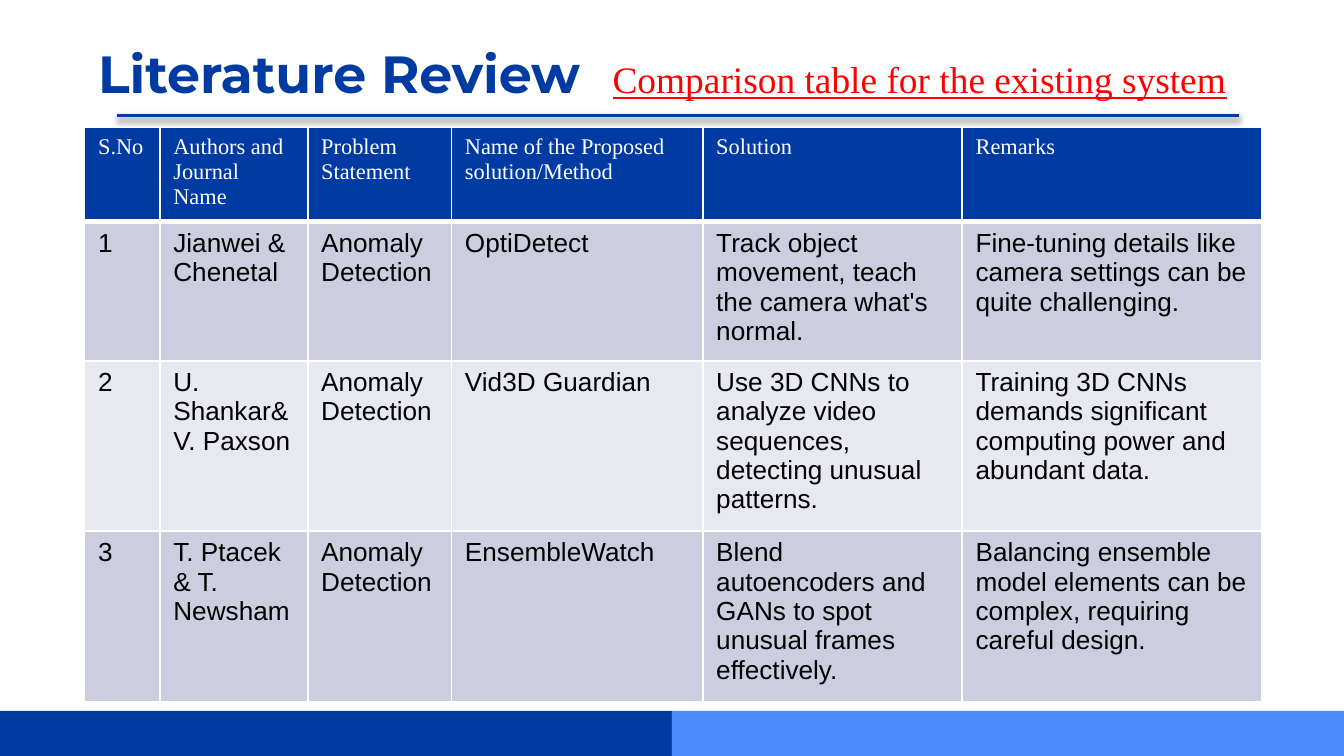
from lxml import etree
from pptx import Presentation
from pptx.dml.color import RGBColor
from pptx.enum import shapes, text
from pptx.oxml import parse_xml
from pptx.oxml.ns import nsdecls, qn
from pptx.util import Inches, Pt

NAVY = RGBColor(0x00, 0x3B, 0xA3)
BLUE = RGBColor(0x4A, 0x8C, 0xFF)
RED = RGBColor(0xFF, 0x00, 0x00)
WHITE = RGBColor(0xFF, 0xFF, 0xFF)
BLACK = RGBColor(0x00, 0x00, 0x00)
BAND_DARK = RGBColor(0xCC, 0xCE, 0xE0)
BAND_LIGHT = RGBColor(0xE7, 0xE8, 0xF0)


def write_text(frame, content, size, font, color, bold=False, underline=False):
    frame.word_wrap = True
    paragraph = frame.paragraphs[0]
    paragraph.alignment = text.PP_ALIGN.LEFT
    run = paragraph.add_run()
    run.text = content
    run.font.size = Pt(size)
    run.font.name = font
    run.font.color.rgb = color
    run.font.bold = bold
    run.font.underline = underline


def set_header_borders(cell):
    properties = cell._tc.get_or_add_tcPr()
    widths = {"a:lnL": 1, "a:lnR": 1, "a:lnT": 1, "a:lnB": 3}
    for index, (tag, width) in enumerate(widths.items()):
        line = etree.Element(qn(tag), w=str(Pt(width)))
        fill = etree.SubElement(line, qn("a:solidFill"))
        etree.SubElement(fill, qn("a:srgbClr"), val=str(WHITE))
        properties.insert(index, line)


# Widescreen 16:9 slide
presentation = Presentation()
presentation.slide_width = Inches(10)
presentation.slide_height = Inches(10) * 9 // 16
slide = presentation.slides.add_slide(presentation.slide_layouts[5])

# Footer bars
for left, color in ((0, NAVY), (5, BLUE)):
    bar = slide.shapes.add_shape(shapes.MSO_SHAPE.RECTANGLE, Inches(left),
                                 Inches(5.29), Inches(5), Inches(0.34))
    bar.shadow.inherit = False
    bar.fill.solid()
    bar.fill.fore_color.rgb = color
    bar.line.fill.background()

# Title
title = slide.shapes.title
title.left, title.top = Inches(0.63), Inches(0.21)
title.width, title.height = Inches(8.44), Inches(0.63)
frame = title.text_frame
frame.margin_left = frame.margin_right = Inches(0.1)
frame.margin_top = frame.margin_bottom = Inches(0.1)
frame.vertical_anchor = text.MSO_ANCHOR.TOP
frame.auto_size = text.MSO_AUTO_SIZE.NONE
write_text(frame, "Literature Review", 28, "Montserrat", NAVY, bold=True)

# Rule under the title, with a soft shadow
rule = slide.shapes.add_connector(shapes.MSO_CONNECTOR.STRAIGHT, Inches(0.87),
                                  Inches(0.86), Inches(9.22), Inches(0.86))
rule.line.color.rgb = NAVY
rule.line.width = Pt(2)
rule._element.spPr.append(parse_xml(
    f'<a:effectLst {nsdecls("a")}>'
    f'<a:outerShdw blurRad="{Pt(3.1)}" dist="{Pt(1.6)}" dir="5400000" rotWithShape="0">'
    '<a:srgbClr val="000000"><a:alpha val="38000"/></a:srgbClr>'
    '</a:outerShdw></a:effectLst>'))

# Subtitle
subtitle = slide.shapes.add_textbox(Inches(4.46), Inches(0.37), Inches(5.14), Inches(0.44))
subtitle.text_frame.auto_size = text.MSO_AUTO_SIZE.SHAPE_TO_FIT_TEXT
write_text(subtitle.text_frame, "Comparison table for the existing system",
           20, "Times New Roman", RED, underline=True)

# Comparison table; the body's thin white borders come from the table style
rows = [
    ("S.No", "Authors and Journal Name", "Problem Statement",
     "Name of the Proposed solution/Method", "Solution", "Remarks"),
    ("1", "Jianwei & Chenetal", "Anomaly Detection", "OptiDetect",
     "Track object movement, teach the camera what's normal.",
     "Fine-tuning details like camera settings can be quite challenging."),
    ("2", "U. Shankar&V. Paxson", "Anomaly Detection", "Vid3D Guardian",
     "Use 3D CNNs to analyze video sequences, detecting unusual patterns.",
     "Training 3D CNNs demands significant computing power and abundant data."),
    ("3", "T. Ptacek & T. Newsham", "Anomaly Detection", "EnsembleWatch",
     "Blend autoencoders and GANs to spot unusual frames effectively.",
     "Balancing ensemble model elements can be complex, requiring careful design."),
]
column_widths = (0.56, 1.1, 1.07, 1.87, 1.93, 2.23)
row_heights = (0.66, 0.81, 0.77, 1)
table = slide.shapes.add_table(len(rows), len(column_widths), Inches(0.63), Inches(0.95),
                               Inches(8.75), Inches(4.03)).table
for column, width in zip(table.columns, column_widths):
    column.width = Inches(width)
for row, height in zip(table.rows, row_heights):
    row.height = Inches(height)

for row_index, contents in enumerate(rows):
    band = BAND_DARK if row_index % 2 else BAND_LIGHT
    for column_index, content in enumerate(contents):
        cell = table.cell(row_index, column_index)
        cell.fill.solid()
        if row_index == 0:
            cell.fill.fore_color.rgb = NAVY
            set_header_borders(cell)
            write_text(cell.text_frame, content, 12, "Times New Roman", WHITE)
        else:
            cell.fill.fore_color.rgb = band
            write_text(cell.text_frame, content, 14, "Arial", BLACK)

presentation.save("out.pptx")
